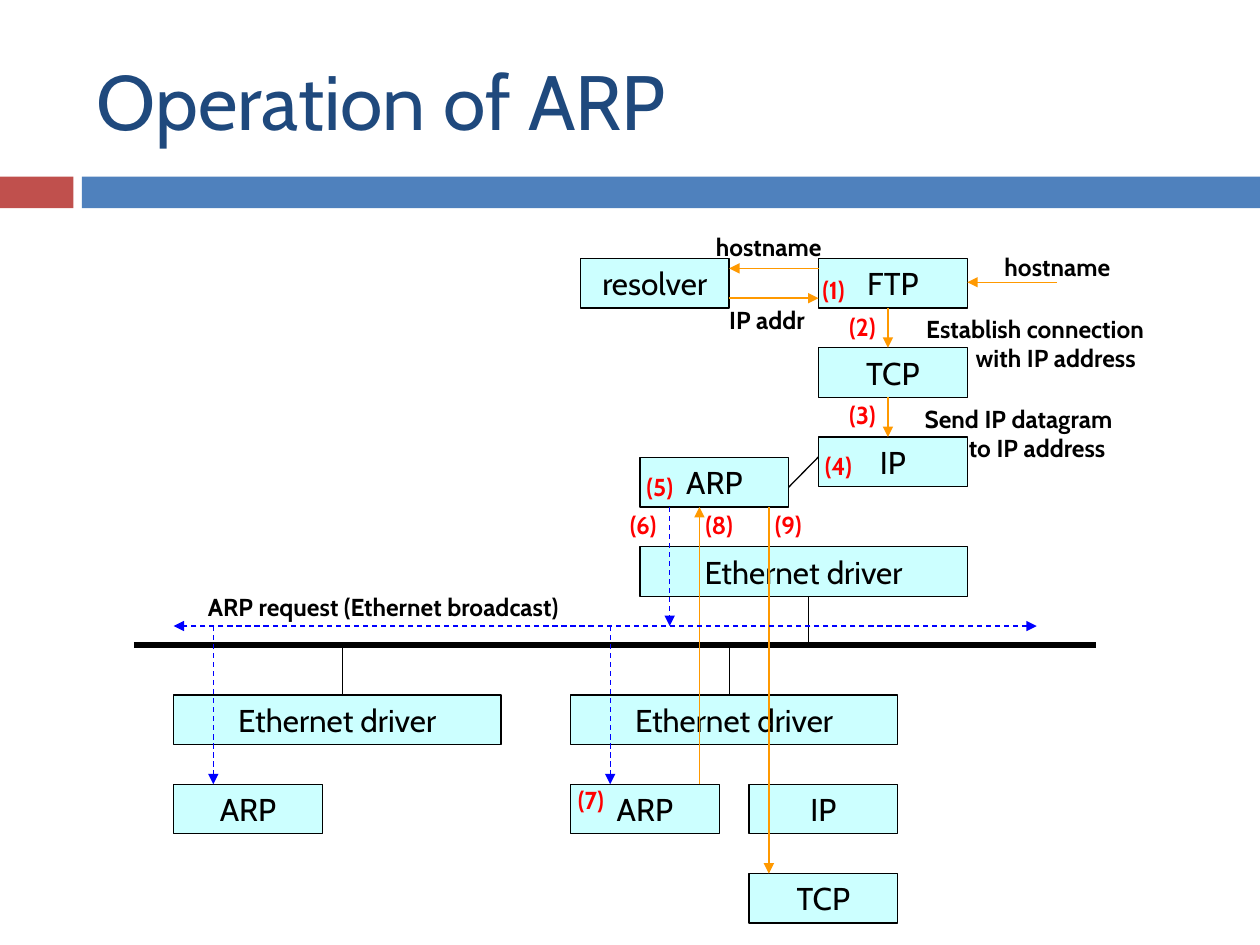
import pptx
import pptx.dml.color
import pptx.enum.dml
import pptx.enum.shapes
import pptx.enum.text
import pptx.oxml
import pptx.oxml.ns
import pptx.util

Cm, Pt = pptx.util.Cm, pptx.util.Pt
ALIGN, ANCHOR = pptx.enum.text.PP_ALIGN, pptx.enum.text.MSO_ANCHOR

COLORS = {"title": "1F497D", "accent": "C0504D", "band": "4F81BD", "box": "CCFFFF",
          "black": "000000", "flow": "FF9900", "request": "0000FF", "step": "FF0000"}


def rgb(name):
    return pptx.dml.color.RGBColor.from_string(COLORS[name])


class Diagram:
    FONT = "Cabin"
    LINE = 0.75
    BOX_W, DRIVER_W, BOX_H = 3, 6.6, 1

    def __init__(self, slide):
        self.s = slide

    def add_text(self, p, text, size, color, bold=False):
        r = p.add_run()
        r.text = text
        for name, value in {"name": self.FONT, "size": Pt(size), "bold": bold}.items():
            setattr(r.font, name, value)
        r.font.color.rgb = rgb(color)

    def title(self, text, x, y, w, h):
        sp = self.s.shapes.title
        for name, value in {"left": x, "top": y, "width": w, "height": h}.items():
            setattr(sp, name, Cm(value))
        tf = sp.text_frame
        tf.auto_size = pptx.enum.text.MSO_AUTO_SIZE.NONE
        tf.vertical_anchor = ANCHOR.MIDDLE
        tf.paragraphs[0].alignment = ALIGN.LEFT
        self.add_text(tf.paragraphs[0], text, 44, "title")

    def rect(self, x, y, w, h, fill, outline=None):
        sp = self.s.shapes.add_shape(pptx.enum.shapes.MSO_SHAPE.RECTANGLE,
                                     Cm(x), Cm(y), Cm(w), Cm(h))
        sp.shadow.inherit = False
        sp.fill.solid()
        sp.fill.fore_color.rgb = rgb(fill)
        if outline:
            sp.line.color.rgb = rgb(outline)
            sp.line.width = Pt(self.LINE)
        else:
            sp.line.fill.background()
        return sp

    def box(self, text, x, y, w=BOX_W):
        tf = self.rect(x, y, w, self.BOX_H, "box", "black").text_frame
        tf.word_wrap = False
        tf.vertical_anchor = ANCHOR.MIDDLE
        tf.paragraphs[0].alignment = ALIGN.CENTER
        self.add_text(tf.paragraphs[0], text, 18, "black")

    def line(self, x1, y1, x2, y2, color="black", ends=(), dashed=False, width=LINE):
        c = self.s.shapes.add_connector(pptx.enum.shapes.MSO_CONNECTOR.STRAIGHT,
                                        Cm(x1), Cm(y1), Cm(x2), Cm(y2))
        c.line.color.rgb = rgb(color)
        c.line.width = Pt(width)
        if dashed:
            c.line.dash_style = pptx.enum.dml.MSO_LINE.DASH
        ns = pptx.oxml.ns.nsdecls("a")
        spPr = c._element.spPr
        for end in ends:
            spPr.ln.append(pptx.oxml.parse_xml(f'<a:{end} {ns} type="triangle"/>'))
        spPr.append(pptx.oxml.parse_xml(f"<a:effectLst {ns}/>"))

    def arrow(self, *points):
        self.line(*points, color="flow", ends=["tailEnd"])

    def request(self, *points, ends=("tailEnd",)):
        self.line(*points, color="request", ends=ends, dashed=True)

    def label(self, lines, x, y, w, color="black", indent=0):
        sp = self.s.shapes.add_textbox(Cm(x), Cm(y), Cm(w), Cm(0.28 + 0.59 * len(lines)))
        tf = sp.text_frame
        tf.word_wrap = True
        for i, text in enumerate(lines):
            p = tf.add_paragraph() if i else tf.paragraphs[0]
            if i:
                p._p.get_or_add_pPr().set("marL", str(Cm(indent)))
            self.add_text(p, text, 14, color, bold=True)


def main():
    prs = pptx.Presentation()
    prs.slide_width, prs.slide_height = Cm(25.4), Cm(19.05)
    d = Diagram(prs.slides.add_slide(prs.slide_layouts[5]))

    # Title and band
    d.rect(0, 3.56, 1.48, 0.64, "accent")
    d.rect(1.65, 3.56, 23.75, 0.64, "band")
    d.title("Operation of ARP", 1.7, 0.64, 22.66, 2.74)

    # Rows and columns
    step, h = 1.8, d.BOX_H
    ftp_y, arp_y, peer_y = 5.21, 9.22, 14.01
    tcp_y, ip_y = ftp_y + step, ftp_y + 2 * step
    driver_y, peer_arp_y, peer_tcp_y = arp_y + step, peer_y + step, peer_y + 2 * step
    stack_x, resolver_x, arp_x = 16.5, 11.7, 12.9
    left_x, right_x, right_ip_x = 3.5, 11.5, 15.1
    bus_y, broadcast_y = 13, 12.62

    # Sending host
    for text, x, y in [("FTP", stack_x, ftp_y), ("TCP", stack_x, tcp_y),
                       ("IP", stack_x, ip_y), ("resolver", resolver_x, ftp_y),
                       ("ARP", arp_x, arp_y)]:
        d.box(text, x, y)
    d.box("Ethernet driver", arp_x, driver_y, d.DRIVER_W)

    # Receiving hosts
    for x in (left_x, right_x):
        d.box("Ethernet driver", x, peer_y, d.DRIVER_W)
        d.box("ARP", x, peer_arp_y)
    d.box("IP", right_ip_x, peer_arp_y)
    d.box("TCP", right_ip_x, peer_tcp_y)

    # Ethernet cable and plain links
    d.line(2.7, bus_y, 22.1, bus_y, width=3)
    d.line(arp_x + d.BOX_W, arp_y + 0.6, stack_x, ip_y + 0.4)
    d.line(16.3, driver_y + h, 16.3, bus_y)
    for x in (6.9, 14.7):
        d.line(x, bus_y, x, peer_y)

    # Data flow
    d.arrow(21.3, 5.69, stack_x + d.BOX_W, 5.69)
    d.arrow(stack_x, 5.41, resolver_x + d.BOX_W, 5.41)
    d.arrow(resolver_x + d.BOX_W, 6.01, stack_x, 6.01)
    for y in (tcp_y, ip_y):
        d.arrow(17.9, y - step + h, 17.9, y)
    d.arrow(14.1, peer_arp_y, 14.1, arp_y + h)
    d.arrow(15.5, arp_y + h, 15.5, peer_tcp_y)

    # ARP request
    d.request(20.9, broadcast_y, left_x, broadcast_y, ends=("headEnd", "tailEnd"))
    d.request(13.5, arp_y + h, 13.5, broadcast_y)
    for x in (left_x, right_x):
        d.request(x + 0.8, broadcast_y, x + 0.8, peer_arp_y)

    # Labels
    d.label(["hostname"], 20, 4.95, 3)
    d.label(["hostname"], 14.18, 4.56, 3)
    d.label(["IP addr"], 14.45, 6.02, 2.3)
    d.label(["Establish connection", "with IP address"], 18.42, 6.2, 5.6, indent=1)
    d.label(["Send IP datagram", "to IP address"], 18.39, 8.01, 4.9, indent=0.89)
    d.label(["ARP request (Ethernet broadcast)"], 3.94, 11.81, 8.8)

    # Step numbers
    steps = [(16.33, 5.41), (16.87, 6.17), (16.87, 7.93), (16.38, 8.97), (12.78, 9.4),
             (12.45, 10.16), (11.4, 15.7), (13.97, 10.16), (15.37, 10.16)]
    for number, (x, y) in enumerate(steps, 1):
        d.label([f"({number})"], x, y, 1.15, "step")

    prs.save("out.pptx")


if __name__ == "__main__":
    main()
